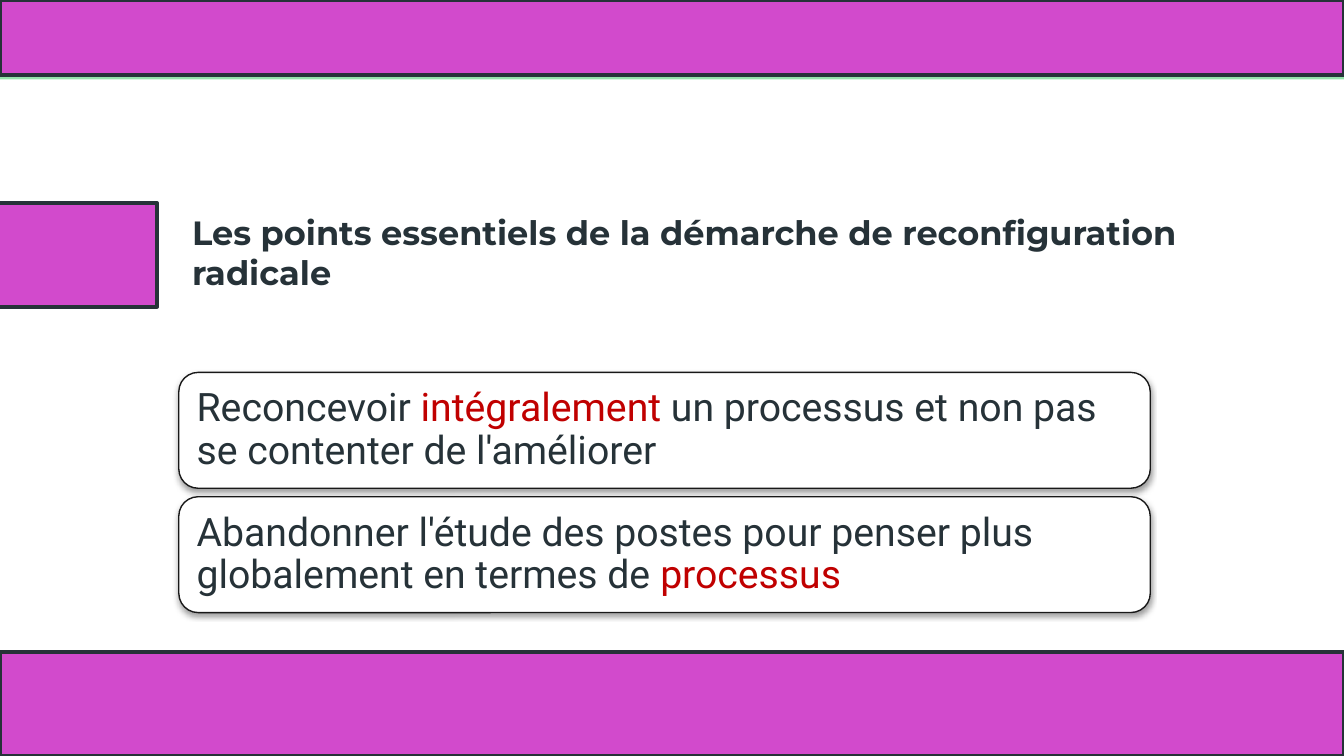
"""Builds the slide on the key points of radical process redesign."""
from lxml import etree
from pptx import Presentation
from pptx.dml.color import RGBColor
from pptx.enum import shapes, text
from pptx.oxml import ns
from pptx.util import Cm, Pt

INK, PINK, GREEN, RED = "263238", "D24ACC", "92E3A9", "C00000"


def paint(target, color):
    if hasattr(target, "solid"):
        target.solid()
        target = target.fore_color
    target.rgb = RGBColor.from_string(color)


def add_block(kind, box, fill, line=None, width=0):
    block = slide.shapes.add_shape(kind, *map(Cm, box))
    block.shadow.inherit = False
    paint(block.fill, fill)
    if line:
        paint(block.line.fill, line)
        block.line.width = Pt(width)
    else:
        block.line.fill.background()
    return block


deck = Presentation()
deck.slide_width, deck.slide_height = Cm(25.4), Cm(14.29)
slide = deck.slides.add_slide(deck.slide_layouts[6])
RECT = shapes.MSO_SHAPE.RECTANGLE

for top in (12.79, 0):
    add_block(RECT, (0, top, 25.4, 1.5), GREEN)

title = slide.shapes.add_textbox(Cm(3.38), Cm(3.23), Cm(20.6), Cm(3.07)).text_frame
title.word_wrap = True
title.vertical_anchor = text.MSO_ANCHOR.MIDDLE
title.margin_left = title.margin_right = title.margin_top = title.margin_bottom = Cm(0.25)
title.text = "Les points essentiels de la démarche de reconfiguration radicale"
heading = title.paragraphs[0].runs[0].font
heading.name, heading.size, heading.bold = "Montserrat", Pt(18), True
paint(heading.color, INK)

points = [
    [("Reconcevoir ", INK), ("intégralement", RED),
     (" un processus et non pas se contenter de l'améliorer", INK)],
    [("Abandonner l'étude des postes pour penser plus globalement en termes de ", INK),
     ("processus", RED)],
]
for row, point in enumerate(points):
    card = add_block(shapes.MSO_SHAPE.ROUNDED_RECTANGLE,
                     (3.38, 7.04 + row * 2.35, 18.36, 2.19), "FFFFFF", "181818", 0.75)
    effects = card._element.spPr.find(ns.qn("a:effectLst"))
    shadow = etree.SubElement(effects, ns.qn("a:outerShdw"), blurRad=str(Pt(3.1)),
                              dist=str(Pt(1.6)), dir="5400000", rotWithShape="0")
    shade = etree.SubElement(shadow, ns.qn("a:srgbClr"), val="000000")
    etree.SubElement(shade, ns.qn("a:alpha"), val="38000")

    frame = card.text_frame
    frame.word_wrap = True
    frame.vertical_anchor = text.MSO_ANCHOR.MIDDLE
    frame.margin_left = frame.margin_right = frame.margin_top = frame.margin_bottom = Cm(0.23)
    sentence = frame.paragraphs[0]
    sentence.alignment = text.PP_ALIGN.LEFT
    sentence.line_spacing = 0.9
    for words, color in point:
        run = sentence.add_run()
        run.text = words
        run.font.name, run.font.size = "Roboto", Pt(21)
        paint(run.font.color, color)

for box in ((0, 0, 25.4, 1.42), (-2.29, 3.84, 5.26, 1.96), (0, 12.32, 25.4, 1.97)):
    add_block(RECT, box, PINK, INK, 2)

deck.save("out.pptx")
